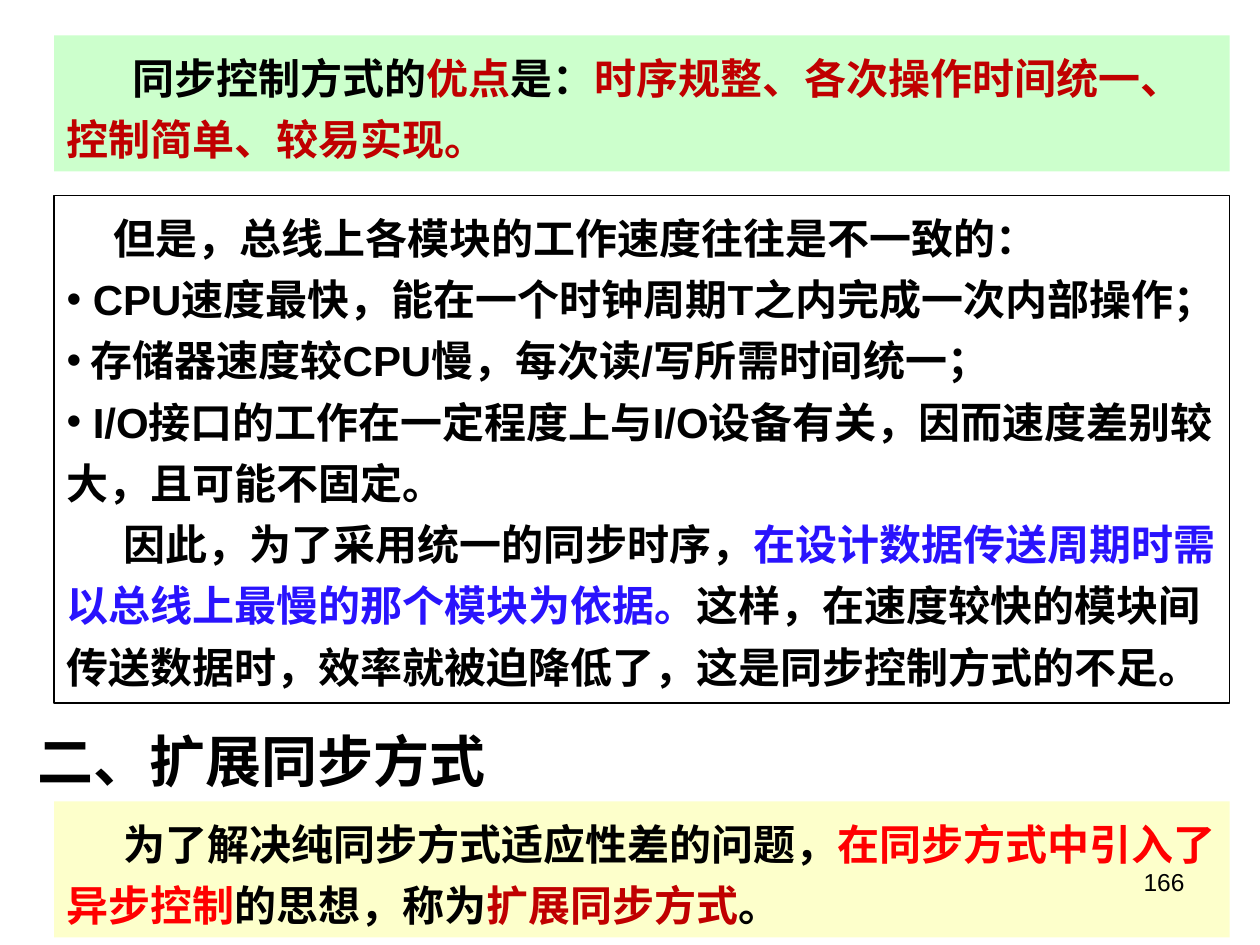
"""Build the slide on synchronous control and extended synchronous control."""
from lxml.etree import SubElement
from pptx import Presentation
from pptx.dml.color import RGBColor
from pptx.enum.shapes import MSO_SHAPE
from pptx.enum.text import MSO_ANCHOR, PP_ALIGN
from pptx.oxml.ns import qn
from pptx.util import Inches, Pt

BLACK, DARK_RED, RED, BLUE = "000000", "C00000", "FF0000", "2913FD"
PANEL_LEFT, PANEL_WIDTH = 0.43, 9.33

ADVANTAGES = [
    {"indent": 0.52, "runs": [
        ("同步控制方式的", BLACK), ("优点", DARK_RED), ("是：", BLACK),
        ("时序规整、各次操作时间统一、控制简单、较易实现。", DARK_RED)]},
]
DRAWBACKS = [
    {"indent": 0.37, "runs": [("但是，总线上各模块的工作速度往往是不一致的：", BLACK)]},
    {"bullet": True, "runs": [(" CPU速度最快，能在一个时钟周期T之内完成一次内部操作；", BLACK)]},
    {"bullet": True, "runs": [(" 存储器速度较CPU慢，每次读/写所需时间统一；", BLACK)]},
    {"bullet": True, "runs": [
        (" I/O接口的工作在一定程度上与I/O设备有关，因而速度差别较大，且可能不固定。", BLACK)]},
    {"indent": 0.45, "runs": [
        ("因此，为了采用统一的同步时序，", BLACK),
        ("在设计数据传送周期时需以总线上最慢的那个模块为依据。", BLUE),
        ("这样，在速度较快的模块间传送数据时，效率就被迫降低了，这是同步控制方式的不足。", BLACK)]},
]
EXTENSION = [
    {"indent": 0.45, "runs": [
        ("为了解决纯同步方式适应性差的问题，", BLACK),
        ("在同步方式中引入了异步控制", RED), ("的思想，称为", BLACK),
        ("扩展同步方式", DARK_RED), ("。", BLACK)]},
]
PANELS = [
    {"top": 0.28, "height": 1.08, "fill": "CCFFCC", "paragraphs": ADVANTAGES},
    {"top": 1.55, "height": 4.03, "line": BLACK, "paragraphs": DRAWBACKS},
    {"top": 6.36, "height": 1.08, "fill": "FDFFCB", "paragraphs": EXTENSION},
]


def color(value):
    return RGBColor.from_string(value)


def add_text(para, text, size=24, bold=True, fill=BLACK):
    span = para.add_run()
    span.text = text
    span.font.name = "Arial"
    span.font.size = Pt(size)
    span.font.bold = bold
    span.font.color.rgb = color(fill)


def format_paragraph(para, indent=0, bullet=False):
    properties = para._p.get_or_add_pPr()
    properties.set("marL", "0")
    properties.set("indent", str(Inches(indent)))
    if bullet:
        SubElement(properties, qn("a:buFont"), typeface="Arial")
        SubElement(properties, qn("a:buChar"), char="•")
    para.alignment = PP_ALIGN.LEFT
    para.line_spacing = Pt(35)


def add_panel(page, top, height, paragraphs, fill=None, line=None):
    box = page.shapes.add_shape(
        MSO_SHAPE.RECTANGLE, Inches(PANEL_LEFT), Inches(top),
        Inches(PANEL_WIDTH), Inches(height))
    box.shadow.inherit = False
    if fill:
        box.fill.solid()
        box.fill.fore_color.rgb = color(fill)
    else:
        box.fill.background()
    if line:
        box.line.color.rgb = color(line)
        box.line.width = Pt(0.75)
    else:
        box.line.fill.background()
    frame = box.text_frame
    frame.word_wrap = True
    frame.vertical_anchor = MSO_ANCHOR.TOP
    for index, item in enumerate(paragraphs):
        para = frame.add_paragraph() if index else frame.paragraphs[0]
        format_paragraph(para, item.get("indent", 0), item.get("bullet", False))
        for text, run_color in item["runs"]:
            add_text(para, text, fill=run_color)


def add_label(page, place, text, wrap=True, align=PP_ALIGN.LEFT, **style):
    frame = page.shapes.add_textbox(*map(Inches, place)).text_frame
    frame.word_wrap = wrap
    para = frame.paragraphs[0]
    para.alignment = align
    add_text(para, text, **style)


def main():
    deck = Presentation()
    deck.slide_width, deck.slide_height = Inches(10), Inches(7.5)
    page = deck.slides.add_slide(deck.slide_layouts[6])
    for panel in PANELS:
        add_panel(page, **panel)
    add_label(page, (0.2, 5.72, 3.81, 0.64), "二、扩展同步方式", wrap=False, size=32)
    add_label(page, (7.17, 6.83, 2.33, 0.52), "166", align=PP_ALIGN.RIGHT,
              size=14, bold=False)
    deck.save("out.pptx")


if __name__ == "__main__":
    main()
